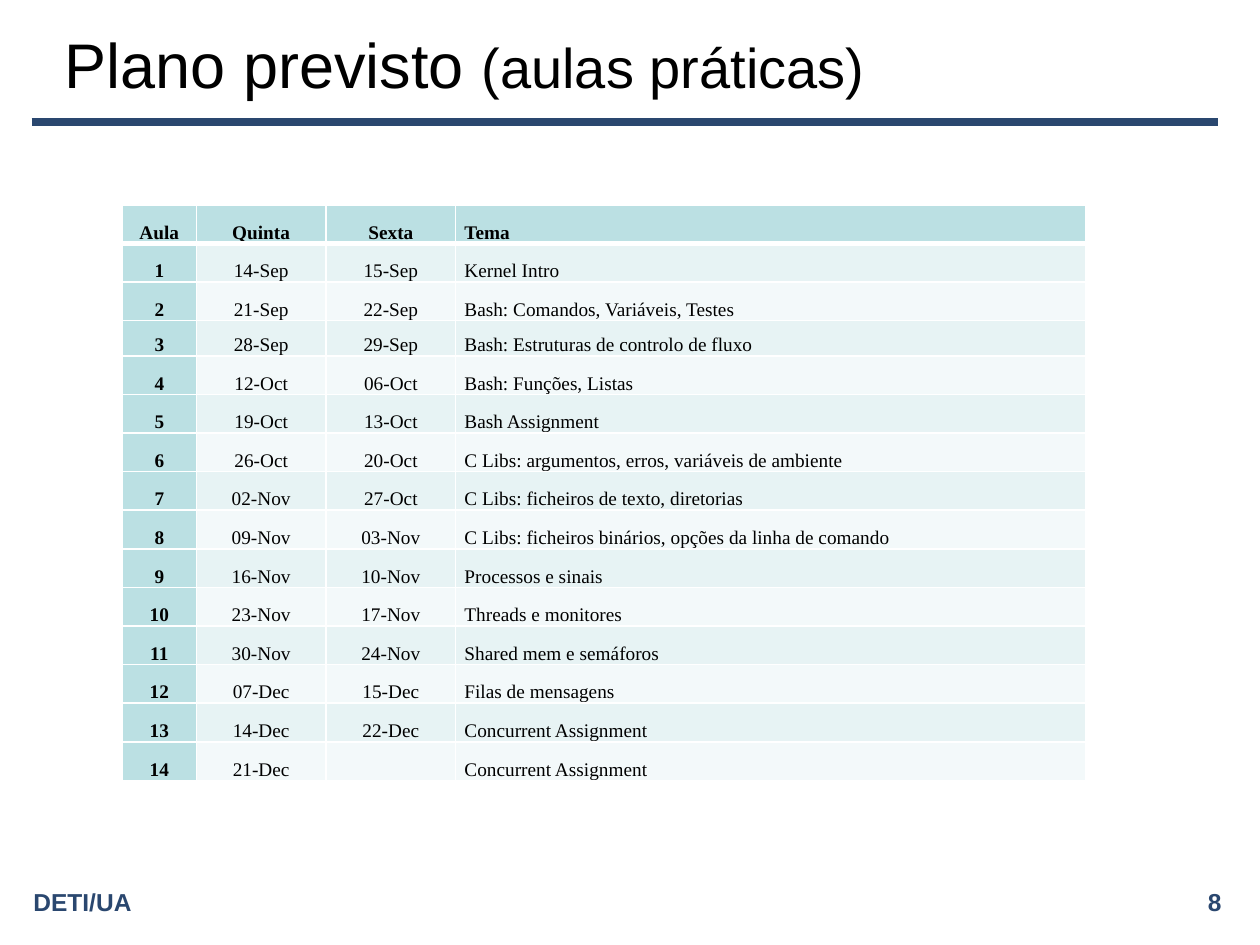
from dataclasses import dataclass

from lxml.etree import SubElement
from pptx import Presentation
from pptx.dml.color import RGBColor
from pptx.enum.shapes import MSO_CONNECTOR
from pptx.enum.text import MSO_ANCHOR, PP_ALIGN
from pptx.oxml import parse_xml
from pptx.oxml.ns import nsdecls, qn
from pptx.util import Inches, Pt


@dataclass(frozen=True)
class Theme:
    navy: str = "2A476F"
    black: str = "000000"
    white: str = "FFFFFF"
    teal: str = "BBE0E3"
    bands: tuple = ("E7F3F4", "F3F9FA")
    sans: str = "Arial"
    serif: str = "Times New Roman"
    title: int = 36
    subtitle: int = 32
    footer: int = 14
    body: int = 11
    rule: float = 4.5
    border: int = 1
    header_border: int = 3


class SlideBuilder:
    COLUMNS, ROWS = 120, 90

    def __init__(self, prs, theme):
        self.theme = theme
        self.slide = prs.slides.add_slide(prs.slide_layouts[6])
        self.column = prs.slide_width / self.COLUMNS
        self.row = prs.slide_height / self.ROWS

    def x(self, columns):
        return round(columns * self.column)

    def y(self, rows):
        return round(rows * self.row)

    def style(self, r, size, face, color, bold=False):
        r.font.size = Pt(size)
        r.font.name = face
        r.font.bold = bold
        r.font.color.rgb = RGBColor.from_string(color)

    def text(self, left, top, width, height, runs, color, bold=False, align=PP_ALIGN.LEFT):
        sp = self.slide.shapes.add_textbox(self.x(left), self.y(top), self.x(width), self.y(height))
        tf = sp.text_frame
        tf.word_wrap = True
        tf.vertical_anchor = MSO_ANCHOR.MIDDLE
        p = tf.paragraphs[0]
        p.alignment = align
        for content, size in runs:
            r = p.add_run()
            r.text = content
            self.style(r, size, self.theme.sans, color, bold)

    def rule(self, start, end, top):
        line = self.slide.shapes.add_connector(
            MSO_CONNECTOR.STRAIGHT, self.x(start), self.y(top), self.x(end), self.y(top))
        line.line.color.rgb = RGBColor.from_string(self.theme.navy)
        line.line.width = Pt(self.theme.rule)
        SubElement(line._element.spPr, qn("a:effectLst"))

    def borders(self, cell, top, bottom):
        thin = self.theme.border
        sides = (("L", thin), ("R", thin), ("T", top), ("B", bottom))
        for i, (side, width) in enumerate(sides):
            cell._tc.get_or_add_tcPr().insert(i, parse_xml(
                f'<a:ln{side} {nsdecls("a")} w="{Pt(width)}"><a:solidFill>'
                f'<a:srgbClr val="{self.theme.white}"/></a:solidFill></a:ln{side}>'))

    def cell(self, cell, content, fill, bold, align):
        cell.fill.solid()
        cell.fill.fore_color.rgb = RGBColor.from_string(fill)
        cell.vertical_anchor = MSO_ANCHOR.BOTTOM
        cell.margin_left = cell.margin_right = Inches(0.07)
        cell.margin_top = cell.margin_bottom = 0
        p = cell.text_frame.paragraphs[0]
        p.text = content
        p.alignment = align
        p.line_spacing = 1.07
        for r in p.runs:
            self.style(r, self.theme.body, self.theme.serif, self.theme.black, bold)

    def table(self, left, top, widths, heights, rows):
        t = self.theme
        frame = self.slide.shapes.add_table(
            len(rows), len(widths), self.x(left), self.y(top),
            self.x(sum(widths)), self.y(sum(heights)))
        table = frame.table
        table.first_row = table.horz_banding = False
        for column, width in zip(table.columns, widths):
            column.width = self.x(width)
        for i, (values, height) in enumerate(zip(rows, heights)):
            table.rows[i].height = self.y(height)
            for j, value in enumerate(values):
                heading = i == 0 or j == 0
                fill = t.teal if heading else t.bands[(i - 1) % 2]
                align = PP_ALIGN.LEFT if j == len(widths) - 1 else PP_ALIGN.CENTER
                self.cell(table.cell(i, j), value, fill, heading, align)
                self.borders(table.cell(i, j),
                             t.header_border if i == 1 else t.border,
                             t.header_border if i == 0 else t.border)


HEADER = ("Aula", "Quinta", "Sexta", "Tema")
LESSONS = (
    ("14-Sep", "15-Sep", "Kernel Intro"),
    ("21-Sep", "22-Sep", "Bash: Comandos, Variáveis, Testes"),
    ("28-Sep", "29-Sep", "Bash: Estruturas de controlo de fluxo"),
    ("12-Oct", "06-Oct", "Bash: Funções, Listas"),
    ("19-Oct", "13-Oct", "Bash Assignment"),
    ("26-Oct", "20-Oct", "C Libs: argumentos, erros, variáveis de ambiente"),
    ("02-Nov", "27-Oct", "C Libs: ficheiros de texto, diretorias"),
    ("09-Nov", "03-Nov", "C Libs: ficheiros binários, opções da linha de comando"),
    ("16-Nov", "10-Nov", "Processos e sinais"),
    ("23-Nov", "17-Nov", "Threads e monitores"),
    ("30-Nov", "24-Nov", "Shared mem e semáforos"),
    ("07-Dec", "15-Dec", "Filas de mensagens"),
    ("14-Dec", "22-Dec", "Concurrent Assignment"),
    ("21-Dec", "", "Concurrent Assignment"),
)


def main():
    prs = Presentation()
    prs.slide_width, prs.slide_height = Inches(10), Inches(7.5)
    t = Theme()
    s = SlideBuilder(prs, t)

    s.rule(3, 116, 11.65)
    s.text(71, 84, 46.5, 3.75, [("8", t.footer)], t.navy, True, PP_ALIGN.RIGHT)
    s.text(2, 84, 46.5, 3.75, [("DETI/UA", t.footer)], t.navy, True)
    s.text(5, 2, 105, 8,
           [("Plano previsto ", t.title), ("(aulas práticas)", t.subtitle)], t.black)

    rows = [HEADER] + [(str(n), *lesson) for n, lesson in enumerate(LESSONS, 1)]
    heights = [3.36 if row[0] == "3" else 3.68 for row in rows]
    s.table(11.65, 19.5, (7.05, 12.35, 12.35, 60), heights, rows)

    prs.save("out.pptx")


if __name__ == "__main__":
    main()
